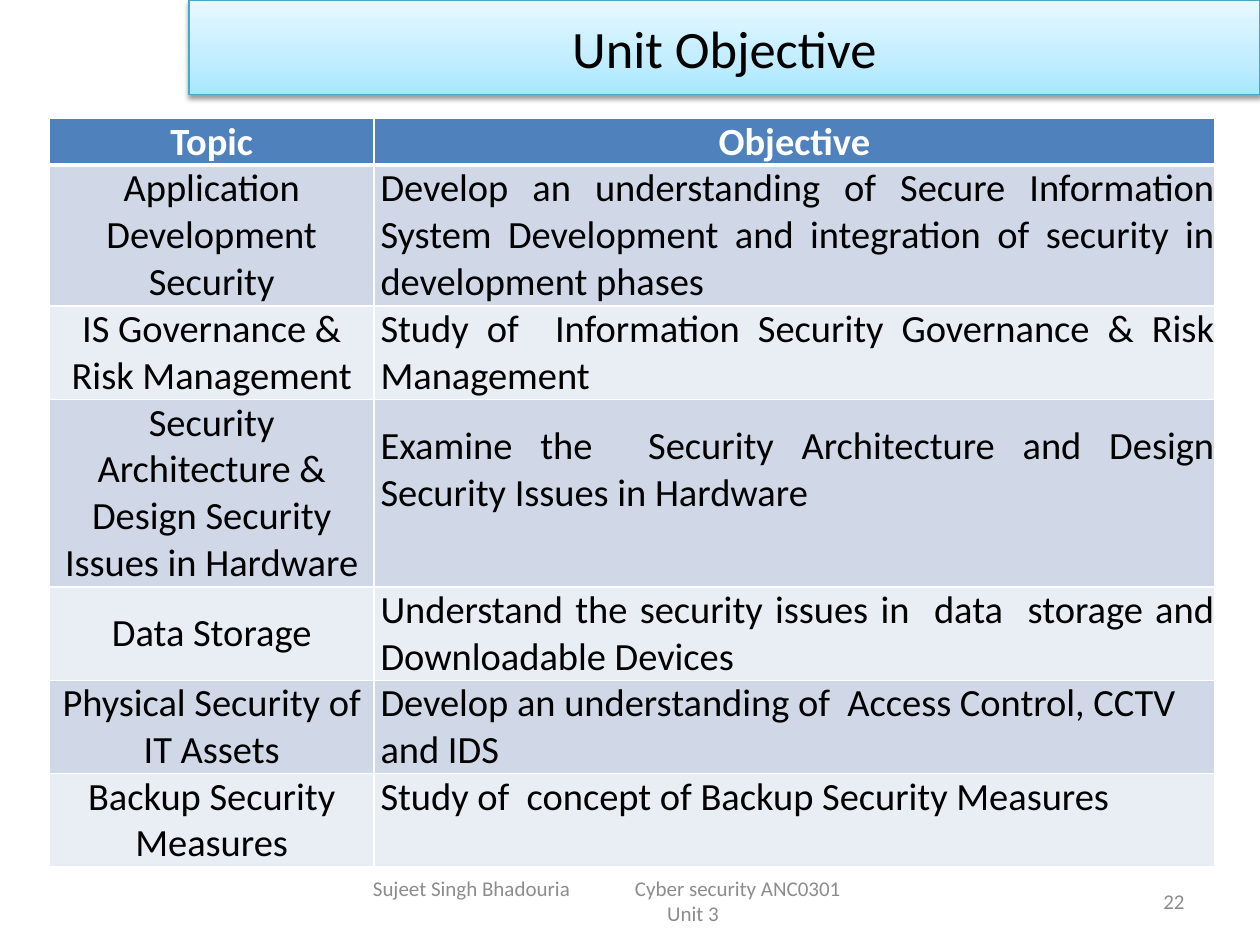
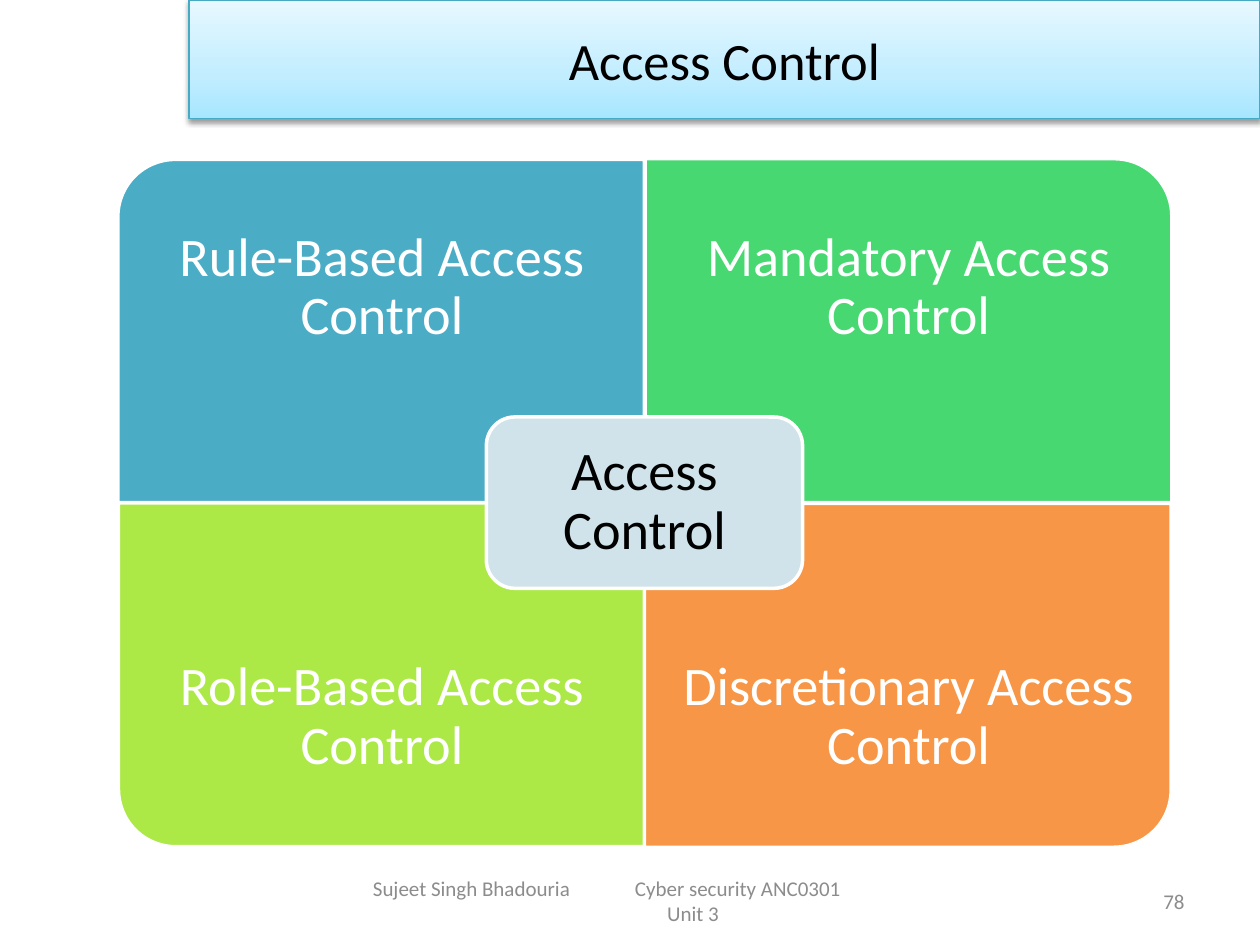
"""Build the unit objective table and the access control matrix slides."""
import copy
import dataclasses
import typing

import lxml.etree
import pptx
import pptx.dml.color
import pptx.enum.shapes
import pptx.enum.text
import pptx.oxml.ns
import pptx.slide
import pptx.table
import pptx.text.text
import pptx.util

SCALE = 9144
ALIGN = pptx.enum.text.PP_ALIGN
SHAPE = pptx.enum.shapes.MSO_SHAPE
MIDDLE = pptx.enum.text.MSO_ANCHOR.MIDDLE


@dataclasses.dataclass(frozen=True)
class Theme:
    font: str = "Calibri"
    black: str = "000000"
    white: str = "FFFFFF"
    gray: str = "8C8C8C"
    edge: str = "46AAC5"
    fade: tuple[tuple[float, str], ...] = ((0, "A7E6FF"), (0.35, "C1EDFF"), (1, "E7F8FF"))
    head: str = "4F81BD"
    bands: tuple[str, str] = ("D0D8E8", "E9EDF4")
    hub: str = "D0E3EA"
    title: int = 30
    body: int = 22
    label: int = 31
    foot: int = 12


@dataclasses.dataclass(frozen=True)
class Box:
    left: int
    top: int
    width: int
    height: int

    def spot(self) -> tuple[int, ...]:
        return tuple(px(side) for side in dataclasses.astuple(self))


@dataclasses.dataclass(frozen=True)
class Row:
    topic: str
    goal: str
    height: int
    align: typing.Any = ALIGN.JUSTIFY
    lift: int = 0


@dataclasses.dataclass(frozen=True)
class Tile:
    text: str
    color: str
    col: int
    row: int
    turn: int


THEME = Theme()
ROWS = (
    Row("Application Development Security",
        "Develop an understanding of Secure Information System Development "
        "and integration of security in development phases", 112),
    Row("IS Governance & Risk Management",
        "Study of  Information Security Governance & Risk Management", 74),
    Row("Security Architecture & Design Security Issues in Hardware",
        "Examine the  Security Architecture and Design Security Issues in Hardware",
        149, lift=37),
    Row("Data Storage",
        "Understand the security issues in  data  storage and Downloadable Devices", 74),
    Row("Physical Security of IT Assets",
        "Develop an understanding of  Access Control, CCTV and IDS", 74, ALIGN.LEFT),
    Row("Backup Security Measures",
        "Study of  concept of Backup Security Measures", 74, ALIGN.LEFT, 37),
)
TILES = (
    Tile("Rule-Based Access Control", "4BACC6", 0, 0, 270),
    Tile("Mandatory Access Control", "47D872", 1, 0, 0),
    Tile("Role-Based Access Control", "ACE946", 0, 1, 180),
    Tile("Discretionary Access Control", "F79646", 1, 1, 90),
)


def px(count: int) -> int:
    return pptx.util.Emu(count * SCALE)


def tint(code: str) -> pptx.dml.color.RGBColor:
    return pptx.dml.color.RGBColor.from_string(code)


def apply(target: typing.Any, values: dict[str, typing.Any]) -> None:
    for name, value in values.items():
        setattr(target, name, value)


def node(parent: typing.Any, tag: str, **values: typing.Any) -> typing.Any:
    texts = {key: str(value) for key, value in values.items()}
    return lxml.etree.SubElement(parent, pptx.oxml.ns.qn(tag), texts)


def inset(left: int, top: int, right: int, bottom: int) -> dict[str, int]:
    return {"margin_left": px(left), "margin_top": px(top),
            "margin_right": px(right), "margin_bottom": px(bottom)}


def write(part: pptx.text.text._Paragraph, text: str, size: int, color: str,
          align: typing.Any = ALIGN.CENTER, bold: bool = False, space: float = 1) -> None:
    apply(part, {"alignment": align, "line_spacing": space})
    run = part.add_run()
    run.text = text
    apply(run.font, {"name": THEME.font, "size": pptx.util.Pt(size), "bold": bold})
    run.font.color.rgb = tint(color)


def frame(slide: pptx.slide.Slide, box: Box,
          pads: dict[str, int]) -> pptx.text.text.TextFrame:
    body = slide.shapes.add_textbox(*box.spot()).text_frame
    apply(body, {"word_wrap": True, "vertical_anchor": MIDDLE, **pads})
    return body


def block(slide: pptx.slide.Slide, kind: typing.Any, box: Box, color: str,
          turn: int = 0) -> typing.Any:
    shape = slide.shapes.add_shape(kind, *box.spot())
    shape.shadow.inherit = False
    shape.rotation = turn
    shape.fill.solid()
    shape.fill.fore_color.rgb = tint(color)
    shape.line.color.rgb = tint(THEME.white)
    shape.line.width = pptx.util.Pt(2)
    apply(shape.text_frame, {"word_wrap": True, "vertical_anchor": MIDDLE})
    return shape


def banner(slide: pptx.slide.Slide, text: str, height: int) -> None:
    shape = block(slide, SHAPE.RECTANGLE, Box(150, 0, 850, height), THEME.white)
    shape.line.color.rgb = tint(THEME.edge)
    shape.line.width = pptx.util.Pt(0.75)
    shape.fill.gradient()
    shape.fill.gradient_angle = 90
    stops = shape.element.xpath(".//a:gsLst")[0]
    stops.append(copy.deepcopy(stops[0]))
    for stop, (place, color) in zip(shape.fill.gradient_stops, THEME.fade):
        stop.position = place
        stop.color.rgb = tint(color)
    glow = node(shape.element.xpath("./p:spPr/a:effectLst")[0], "a:outerShdw",
                blurRad=pptx.util.Pt(3.1), dist=pptx.util.Pt(1.6),
                dir=5400000, rotWithShape=0)
    node(node(glow, "a:srgbClr", val=THEME.black), "a:alpha", val=38000)
    write(shape.text_frame.paragraphs[0], text, THEME.title, THEME.black)


def footer(slide: pptx.slide.Slide, number: int) -> None:
    body = frame(slide, Box(275, 695, 550, 40), inset(21, 5, 21, 5))
    first = body.paragraphs[0]
    tabs = node(first._p.get_or_add_pPr(), "a:tabLst")
    node(tabs, "a:tab", pos=px(208), algn="l")
    write(first, "Sujeet Singh Bhadouria\tCyber security ANC0301",
          THEME.foot, THEME.gray, ALIGN.LEFT)
    write(body.add_paragraph(), "Unit 3", THEME.foot, THEME.gray)
    count = frame(slide, Box(717, 695, 233, 40), inset(10, 5, 10, 5))
    write(count.paragraphs[0], str(number), THEME.foot, THEME.gray, ALIGN.RIGHT)


def cell(item: pptx.table._Cell, text: str, fill: str, color: str, align: typing.Any,
         pads: dict[str, int], top: int = 1, base: int = 1, bold: bool = False) -> None:
    apply(item, {"vertical_anchor": MIDDLE, **pads})
    props = item._tc.get_or_add_tcPr()
    for side, width in (("L", 1), ("R", 1), ("T", top), ("B", base)):
        line = node(props, f"a:ln{side}", w=pptx.util.Pt(width))
        node(node(line, "a:solidFill"), "a:srgbClr", val=THEME.white)
    item.fill.solid()
    item.fill.fore_color.rgb = tint(fill)
    write(item.text_frame.paragraphs[0], text, THEME.body, color, align, bold)


def goals(slide: pptx.slide.Slide) -> None:
    box = Box(39, 94, 925, 594)
    table = slide.shapes.add_table(len(ROWS) + 1, 2, *box.spot()).table
    for col, width in zip(table.columns, (258, 667)):
        col.width = px(width)
    table.rows[0].height = px(37)
    for col, text in enumerate(("Topic", "Objective")):
        cell(table.cell(0, col), text, THEME.head, THEME.white, ALIGN.CENTER,
             inset(0, 0, 0, 0), base=3, bold=True)
    for index, row in enumerate(ROWS, 1):
        table.rows[index].height = px(row.height)
        fill = THEME.bands[(index - 1) % 2]
        top = 3 if index == 1 else 1
        cell(table.cell(index, 0), row.topic, fill, THEME.black, ALIGN.CENTER,
             inset(0, 0, 0, 0), top)
        cell(table.cell(index, 1), row.goal, fill, THEME.black, row.align,
             inset(5, 0, 0, row.lift), top)


def matrix(slide: pptx.slide.Slide) -> None:
    left, top, width, height, depth = 94, 126, 418, 273, 205
    for tile in TILES:
        x, y = left + tile.col * width, top + tile.row * height
        box = Box(x, y, width, height)
        if tile.turn % 180:
            shift = (width - height) // 2
            box = Box(x + shift, y - shift, height, width)
        block(slide, SHAPE.ROUND_1_RECTANGLE, box, tile.color, tile.turn)
        drop = tile.row * (height - depth)
        body = frame(slide, Box(x, y + drop, width, depth), inset(24, 24, 24, 24))
        write(body.paragraphs[0], tile.text, THEME.label, THEME.white, space=0.9)
    hub = block(slide, SHAPE.ROUNDED_RECTANGLE, Box(386, 331, 251, 136), THEME.hub)
    apply(hub.text_frame, inset(13, 13, 13, 13))
    write(hub.text_frame.paragraphs[0], "Access Control", THEME.label, THEME.black,
          space=0.9)


def main() -> None:
    deck = pptx.Presentation()
    apply(deck, {"slide_width": px(1000), "slide_height": px(750)})
    pages = (("Unit Objective", 75, 22, goals), ("Access Control", 94, 78, matrix))
    for title, height, number, draw in pages:
        slide = deck.slides.add_slide(deck.slide_layouts[6])
        banner(slide, title, height)
        footer(slide, number)
        draw(slide)
    deck.save("out.pptx")


if __name__ == "__main__":
    main()
